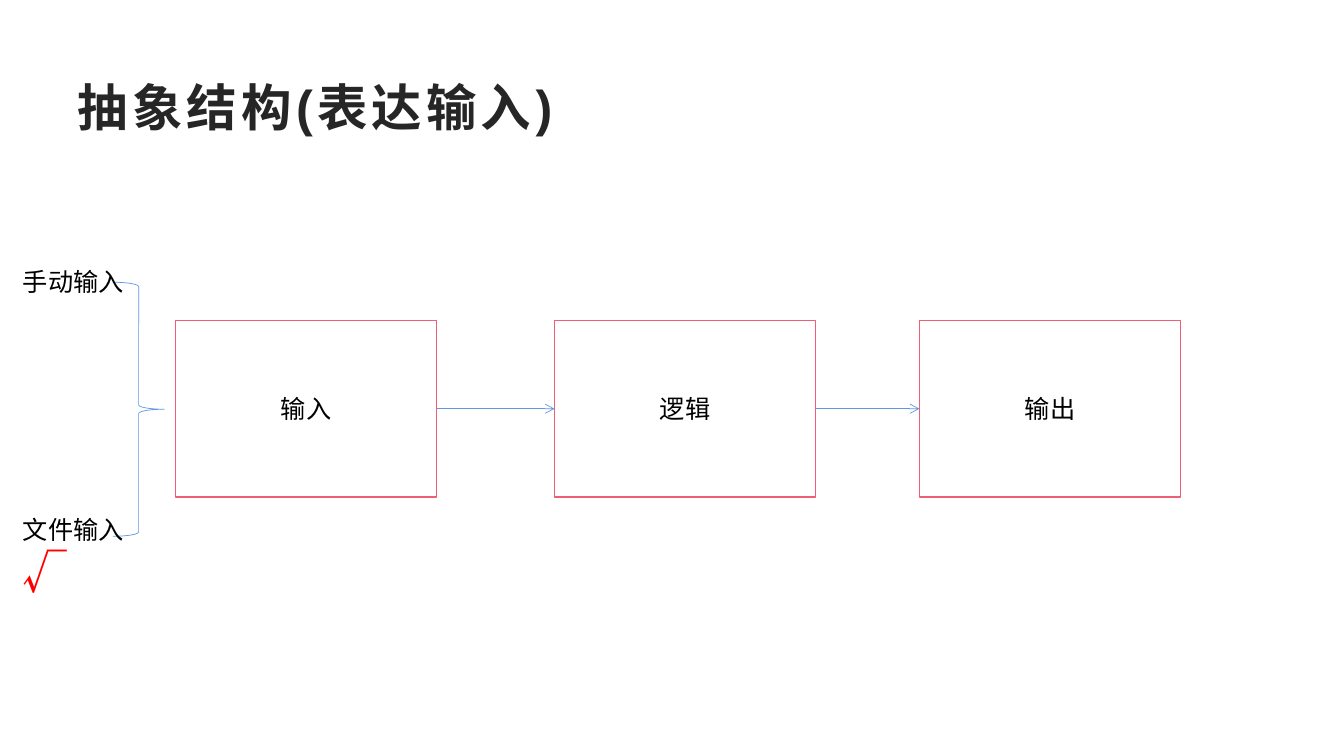
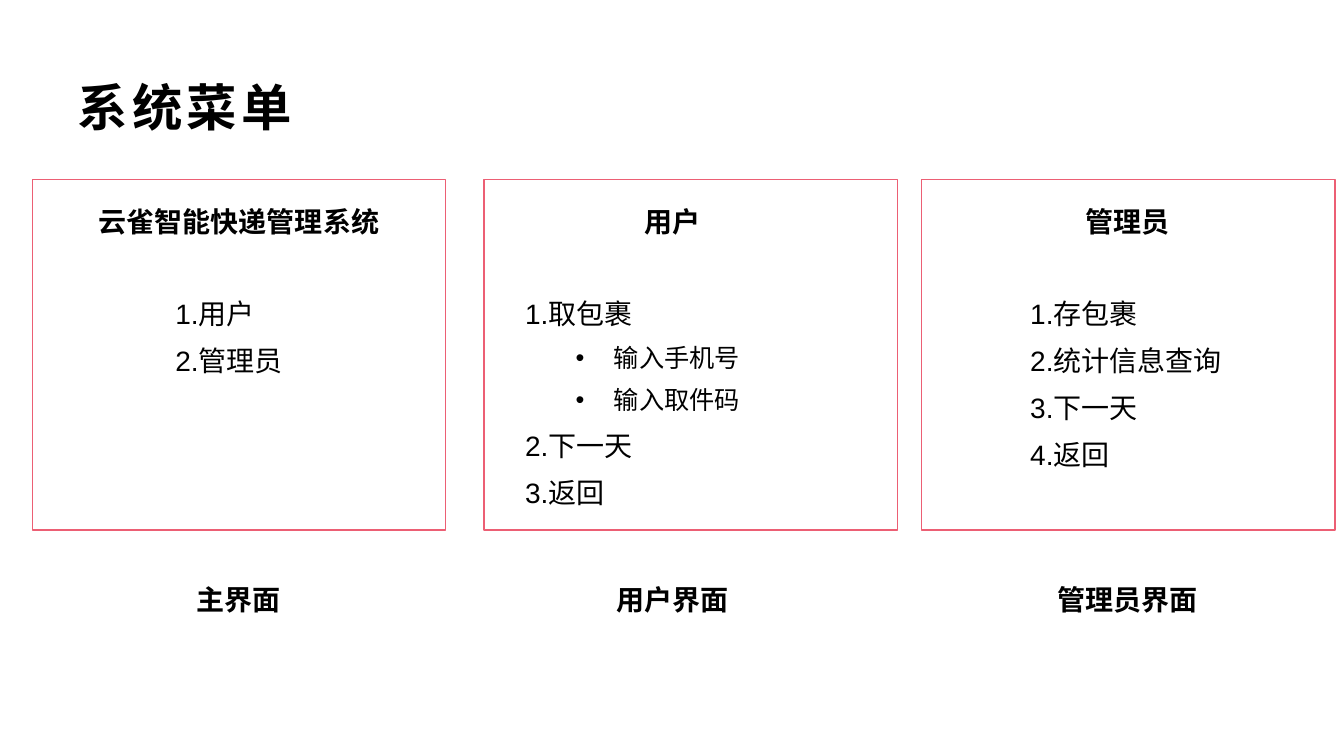
from lxml.etree import SubElement
from pptx import Presentation
from pptx.dml.color import RGBColor
from pptx.enum.shapes import MSO_CONNECTOR, MSO_SHAPE
from pptx.enum.text import MSO_ANCHOR, MSO_AUTO_SIZE, PP_ALIGN
from pptx.oxml.ns import qn
from pptx.util import Inches, Pt

# Shared look
COLORS = {"white": "FFFFFF", "black": "000000", "title": "262626",
          "frame": "EC5F74", "arrow": "6096E6", "check": "FF0000"}
FONT = "Arial"
WIDTH, HEIGHT = 13.33, 7.5
TITLE_AREA = (0.67, 0.67, 12, 0.77)

# Slide 1: flow of steps (name, left edge) and the two kinds of input
FLOW_TITLE = "抽象结构(表达输入)"
STEPS = [("输入", 1.74), ("逻辑", 5.5), ("输出", 9.12)]
STEP_TOP, STEP_WIDTH, STEP_HEIGHT = 3.18, 2.59, 1.75
BRACE_AREA = (1.12, 2.8, 0.51, 2.52)
INPUTS = [  # top, height, runs of (text, size, colour)
    (2.59, 0.4, [("手动输入", 18, "black")]),
    (5.05, 0.64, [("文件输入", 18, "black"), ("√", 32, "check")]),
]

# Slide 2: one panel per screen; items are (level, text)
MENU_TITLE = "系统菜单"
PANELS = [
    {"left": 0.32, "center": 2.37, "heading": "云雀智能快递管理系统", "caption": "主界面",
     "list_left": 1.64, "list_width": 1.47,
     "items": [(0, "1.用户"), (0, "2.管理员")]},
    {"left": 4.8, "center": 6.67, "heading": "用户", "caption": "用户界面",
     "list_left": 5.11, "list_width": 3.64,
     "items": [(0, "1.取包裹"), (1, "输入手机号"), (1, "输入取件码"),
               (0, "2.下一天"), (0, "3.返回")]},
    {"left": 9.14, "center": 11.18, "heading": "管理员", "caption": "管理员界面",
     "list_left": 10.12, "list_width": 2.14,
     "items": [(0, "1.存包裹"), (0, "2.统计信息查询"), (0, "3.下一天"), (0, "4.返回")]},
]
PANEL_TOP, PANEL_WIDTH, PANEL_HEIGHT = 1.78, 4.1, 3.48
HEADING_TOP, LIST_TOP, CAPTION_TOP = 1.98, 2.76, 5.73
LABEL_WIDTH, LABEL_HEIGHT, LIST_HEIGHT = 3.4, 0.44, 2.36


def color(name):
    return RGBColor.from_string(COLORS[name])


def inches(area):
    return [Inches(value) for value in area]


def add_run(paragraph, text, size, color_name="black", bold=False):
    run = paragraph.add_run()
    run.text = text
    run.font.name = FONT
    run.font.size = Pt(size)
    run.font.bold = bold
    run.font.color.rgb = color(color_name)
    return run


def add_shape(slide, kind, area, line, weight, fill=None):
    shape = slide.shapes.add_shape(kind, *inches(area))
    shape.shadow.inherit = False
    shape.line.color.rgb = color(line)
    shape.line.width = Pt(weight)
    if fill:
        shape.fill.solid()
        shape.fill.fore_color.rgb = color(fill)
    else:
        shape.fill.background()
    return shape


def add_frame(slide, area):
    return add_shape(slide, MSO_SHAPE.RECTANGLE, area, "frame", 1, "white")


def add_text_frame(slide, area):
    frame = slide.shapes.add_textbox(*inches(area)).text_frame
    frame.word_wrap = True
    return frame


def add_arrow(slide, source, target):
    arrow = slide.shapes.add_connector(MSO_CONNECTOR.STRAIGHT, 0, 0, 0, 0)
    arrow.begin_connect(source, 3)
    arrow.end_connect(target, 1)
    arrow.line.color.rgb = color("arrow")
    arrow.line.width = Pt(0.5)
    SubElement(arrow.line._get_or_add_ln(), qn("a:tailEnd"), type="arrow")
    SubElement(arrow._element.spPr, qn("a:effectLst"))


def add_bullet(paragraph):
    properties = paragraph._p.get_or_add_pPr()
    properties.set("marL", str(Inches(0.88)))
    properties.set("indent", str(Inches(-0.38)))
    SubElement(properties, qn("a:buFont"), typeface=FONT)
    SubElement(properties, qn("a:buChar"), char="•")


def prepare_layout(presentation):
    layout = presentation.slide_layouts.get_by_name("Title Only")
    title = layout.placeholders[0]
    title.left, title.top, title.width, title.height = inches(TITLE_AREA)
    return layout


def add_slide(presentation, layout, title, title_color):
    slide = presentation.slides.add_slide(layout)
    frame = slide.shapes.title.text_frame
    frame.vertical_anchor = MSO_ANCHOR.MIDDLE
    frame.auto_size = MSO_AUTO_SIZE.NONE
    paragraph = frame.paragraphs[0]
    paragraph.alignment = PP_ALIGN.LEFT
    run = add_run(paragraph, title, 36, title_color, bold=True)
    run.font._element.set("spc", "300")
    return slide


def build_flow(slide):
    # Steps joined by arrows
    boxes = []
    for name, left in STEPS:
        box = add_frame(slide, (left, STEP_TOP, STEP_WIDTH, STEP_HEIGHT))
        box.text_frame.vertical_anchor = MSO_ANCHOR.MIDDLE
        paragraph = box.text_frame.paragraphs[0]
        paragraph.alignment = PP_ALIGN.CENTER
        add_run(paragraph, name, 18)
        boxes.append(box)
    for source, target in zip(boxes, boxes[1:]):
        add_arrow(slide, source, target)

    # Kinds of input gathered by a brace
    add_shape(slide, MSO_SHAPE.RIGHT_BRACE, BRACE_AREA, "arrow", 0.5)
    for top, height, runs in INPUTS:
        paragraph = add_text_frame(slide, (0.13, top, 1.5, height)).paragraphs[0]
        for text, size, color_name in runs:
            add_run(paragraph, text, size, color_name)


def build_menu(slide):
    for panel in PANELS:
        add_frame(slide, (panel["left"], PANEL_TOP, PANEL_WIDTH, PANEL_HEIGHT))

        # Heading inside the panel, caption below it
        label_left = panel["center"] - LABEL_WIDTH / 2
        for key, top in (("heading", HEADING_TOP), ("caption", CAPTION_TOP)):
            frame = add_text_frame(slide, (label_left, top, LABEL_WIDTH, LABEL_HEIGHT))
            paragraph = frame.paragraphs[0]
            paragraph.alignment = PP_ALIGN.CENTER
            add_run(paragraph, panel[key], 20, bold=True)

        # Menu items
        frame = add_text_frame(
            slide, (panel["list_left"], LIST_TOP, panel["list_width"], LIST_HEIGHT))
        for index, (level, text) in enumerate(panel["items"]):
            paragraph = frame.add_paragraph() if index else frame.paragraphs[0]
            paragraph.level = level
            paragraph.line_spacing = 1.4
            if level:
                add_bullet(paragraph)
            add_run(paragraph, text, 18 if level else 20)


def main():
    presentation = Presentation()
    presentation.slide_width, presentation.slide_height = inches((WIDTH, HEIGHT))
    layout = prepare_layout(presentation)
    build_flow(add_slide(presentation, layout, FLOW_TITLE, "title"))
    build_menu(add_slide(presentation, layout, MENU_TITLE, "black"))
    presentation.save("out.pptx")


if __name__ == "__main__":
    main()
